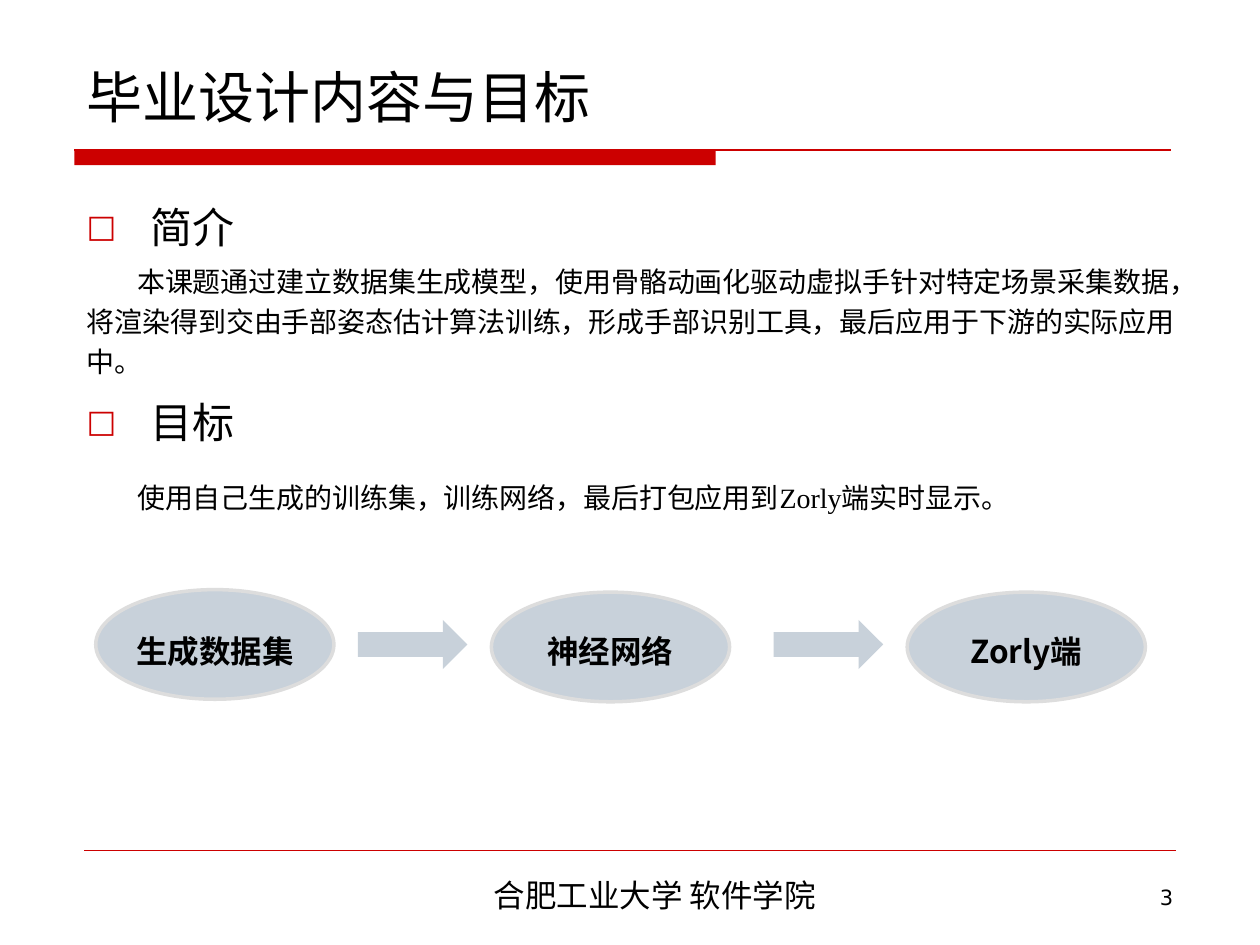
from lxml import etree
from pptx import Presentation
from pptx.dml.color import RGBColor
from pptx.enum.shapes import MSO_CONNECTOR, MSO_SHAPE
from pptx.enum.text import MSO_ANCHOR, PP_ALIGN
from pptx.oxml.ns import qn
from pptx.util import Inches, Pt

RED, BLACK, PALE, EDGE = "CC0000", "000000", "C8D1DA", "DDDDDD"
SANS, HAN, SERIF = "DejaVu Sans", "Noto Sans CJK SC", "Times New Roman"


def color(code):
    """Turn a hex string into a colour."""
    return RGBColor.from_string(code)


def add_text(slide, box, lines, anchor=MSO_ANCHOR.TOP):
    """Add a wrapped text box with one paragraph per line."""
    frame = slide.shapes.add_textbox(*map(Inches, box)).text_frame
    frame.word_wrap = True
    frame.vertical_anchor = anchor
    frame.text = "\n".join(lines)
    return frame.paragraphs


def style(para, size, font, align=PP_ALIGN.LEFT, bold=False):
    """Format a paragraph and its runs."""
    para.alignment = align
    for run in para.runs:
        run.font.size = Pt(size)
        run.font.name = font
        run.font.bold = bold
        run.font.color.rgb = color(BLACK)
        east = etree.SubElement(run.font._element, qn("a:ea"))
        east.set("typeface", HAN)


def indent(para, left, first):
    """Set the left margin and first-line indent in inches."""
    props = para._p.get_or_add_pPr()
    props.set("marL", str(Inches(left)))
    props.set("indent", str(Inches(first)))
    return props


def add_bullet(para):
    """Give a paragraph a hanging red square."""
    props = indent(para, 0.51, -0.51)
    tint = etree.SubElement(props, qn("a:buClr"))
    etree.SubElement(tint, qn("a:srgbClr")).set("val", RED)
    etree.SubElement(props, qn("a:buSzPct")).set("val", "75000")
    etree.SubElement(props, qn("a:buFont")).set("typeface", SANS)
    etree.SubElement(props, qn("a:buChar")).set("char", "□")


def add_rule(slide, left, top, width, weight):
    """Draw a thin red horizontal line."""
    ends = map(Inches, (left, top, left + width, top))
    rule = slide.shapes.add_connector(MSO_CONNECTOR.STRAIGHT, *ends)
    rule.line.color.rgb = color(RED)
    rule.line.width = Pt(weight)
    etree.SubElement(rule._element.spPr, qn("a:effectLst"))


def add_form(slide, kind, box, fill, edge=None):
    """Add a flat filled shape, outlined if an edge colour is given."""
    shape = slide.shapes.add_shape(kind, *map(Inches, box))
    shape.shadow.inherit = False
    shape.fill.solid()
    shape.fill.fore_color.rgb = color(fill)
    if edge:
        shape.line.color.rgb = color(edge)
        shape.line.width = Pt(2)
    else:
        shape.line.fill.background()


def add_header(slide, left, top, width, height):
    """Place the title above its bar and rule."""
    base = top + 0.93
    add_form(slide, MSO_SHAPE.RECTANGLE, (left, base, 5.09, 0.12), RED)
    add_rule(slide, left, base, 8.7, 0.75)
    box = left, top, width, height
    title = add_text(slide, box, ["毕业设计内容与目标"], MSO_ANCHOR.BOTTOM)
    style(title[0], 32, SANS)


def add_body(slide, *box):
    """Place the two headings, each with its paragraph."""
    paras = add_text(slide, box, [
        "简介",
        "本课题通过建立数据集生成模型，使用骨骼动画化驱动虚拟手针对特定场景采集数据，"
        "将渲染得到交由手部姿态估计算法训练，形成手部识别工具，最后应用于下游的实际应用中。",
        "目标",
        "使用自己生成的训练集，训练网络，最后打包应用到Zorly端实时显示。",
    ])
    for num, (para, gap) in enumerate(zip(paras, (0, 3.2, 4.8, 15))):
        para.line_spacing = 1.2
        para.space_before = Pt(gap)
        if num % 2:
            indent(para, 0, 0.4)
            style(para, 16, SERIF)
        else:
            add_bullet(para)
            style(para, 24, HAN)


def add_step(slide, name, left, top, width, height):
    """Place an ellipse with its label."""
    box = left, top, width, height
    add_form(slide, MSO_SHAPE.OVAL, box, PALE, EDGE)
    label = add_text(slide, (left + 0.13, 4.82, width - 0.26, 0.5), [name])[0]
    label.line_spacing = 1.5
    style(label, 18, HAN, PP_ALIGN.CENTER, True)


def add_flow(slide):
    """Place the three steps and the arrows between them."""
    steps = ("生成数据集", 0.76, 4.68), ("神经网络", 3.9, 4.7), ("Zorly端", 7.2, 4.7)
    for num, (name, left, top) in enumerate(steps):
        if num:
            box = left - 1.06, 4.92, 0.87, 0.39
            add_form(slide, MSO_SHAPE.RIGHT_ARROW, box, PALE)
        add_step(slide, name, left, top, 1.89, 0.87)


def add_footer(slide, left, top, width):
    """Place the bottom rule, school name and page number."""
    add_rule(slide, left, top, width, 0.25)
    school = add_text(slide, (left + 2.2, top + 0.15, 4.65, 0.4), ["合肥工业大学 软件学院"])
    style(school[0], 18, HAN, PP_ALIGN.CENTER)
    page = add_text(slide, (left + 7.24, top + 0.22, 1.5, 0.29), ["3"])
    style(page[0], 12, SANS, PP_ALIGN.RIGHT)


def main():
    """Build and save the slide."""
    deck = Presentation()
    deck.slide_width, deck.slide_height = Inches(10), Inches(7.5)
    slide = deck.slides.add_slide(deck.slide_layouts[6])
    add_header(slide, 0.59, 0.26, 8.75, 0.82)
    add_body(slide, 0.59, 1.47, 8.9, 3.23)
    add_flow(slide)
    add_footer(slide, 0.67, 6.75, 8.66)
    deck.save("out.pptx")


if __name__ == "__main__":
    main()
